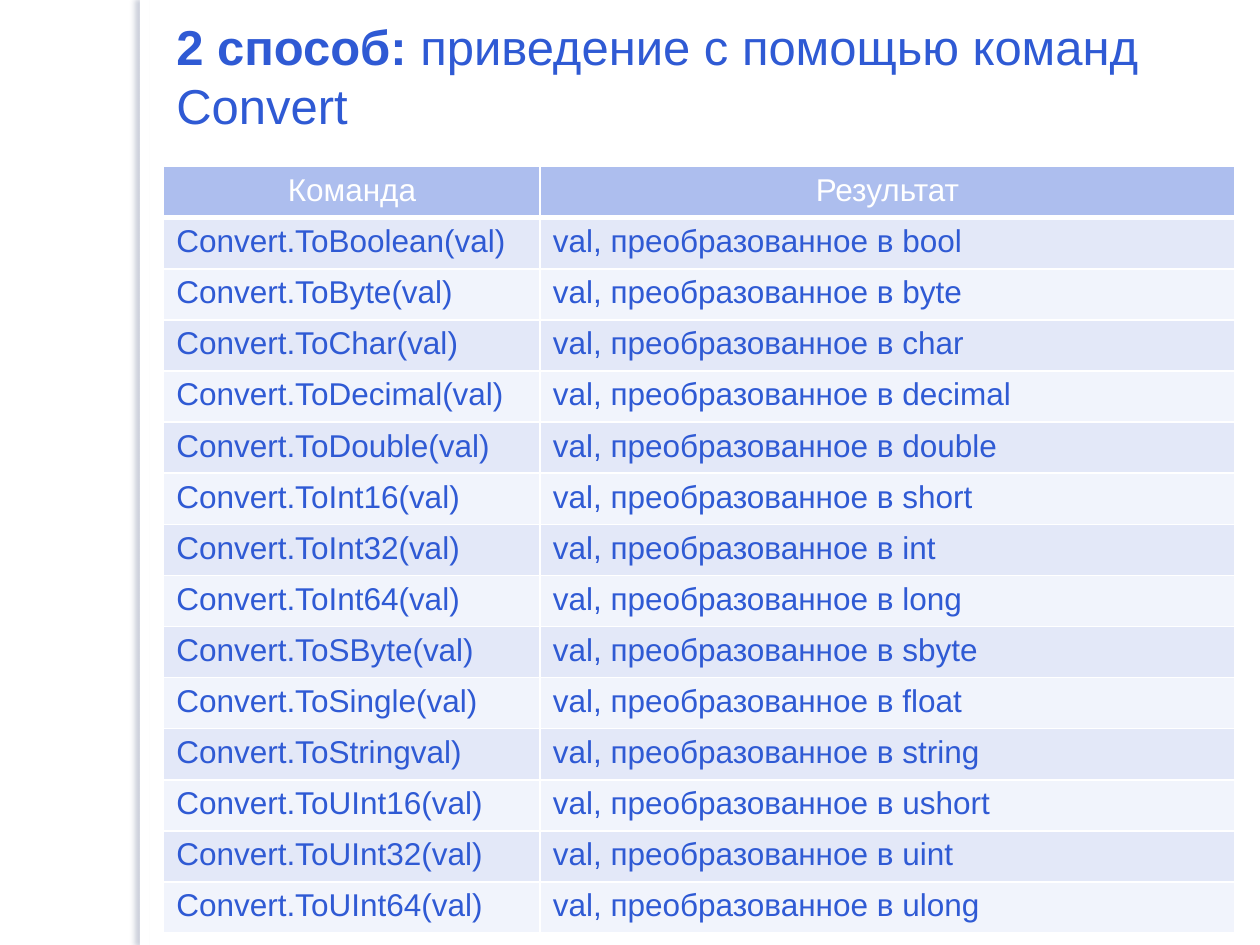
from dataclasses import dataclass

from lxml import etree
from pptx import Presentation
from pptx.dml.color import RGBColor
from pptx.enum.shapes import MSO_SHAPE
from pptx.enum.text import MSO_ANCHOR, MSO_AUTO_SIZE, PP_ALIGN
from pptx.oxml.ns import qn
from pptx.util import Cm, Pt

RECT = MSO_SHAPE.RECTANGLE
TOP = MSO_ANCHOR.TOP
FIXED = MSO_AUTO_SIZE.NONE
LEFT, CENTER = PP_ALIGN.LEFT, PP_ALIGN.CENTER

TITLE = [("2 способ: ", True), ("приведение с помощью команд Convert", False)]
HEAD = ("Команда", "Результат")
ROWS = [
    ("ToBoolean(val)", "bool"),
    ("ToByte(val)", "byte"),
    ("ToChar(val)", "char"),
    ("ToDecimal(val)", "decimal"),
    ("ToDouble(val)", "double"),
    ("ToInt16(val)", "short"),
    ("ToInt32(val)", "int"),
    ("ToInt64(val)", "long"),
    ("ToSByte(val)", "sbyte"),
    ("ToSingle(val)", "float"),
    ("ToStringval)", "string"),
    ("ToUInt16(val)", "ushort"),
    ("ToUInt32(val)", "uint"),
    ("ToUInt64(val)", "ulong"),
]
COLS = (7.59, 14.0)
ROW = 1.03
EDGE = 3.3


@dataclass
class Theme:
    font: str = "Arial"
    ink: str = "2F5AD4"
    white: str = "FFFFFF"
    head: str = "ADBEEE"
    bands: tuple = ("E3E8F8", "F1F4FC")
    shade: str = "384873"
    title: int = 28
    body: int = 18
    thin: int = 1
    thick: int = 3


THEME = Theme()


def paint(fill, color):
    fill.solid()
    fill.fore_color.rgb = RGBColor.from_string(color)


def add_run(para, text, size, color, bold=False):
    run = para.add_run()
    run.text = text
    run.font.name = THEME.font
    run.font.size = Pt(size)
    run.font.bold = bold
    run.font.color.rgb = RGBColor.from_string(color)


def add_node(root, tag, **attrs):
    return etree.SubElement(root, qn(tag), {k: str(v) for k, v in attrs.items()})


def add_strip(slide):
    strip = slide.shapes.add_shape(RECT, Cm(2.82), 0, Cm(0.2), Cm(19.05))
    paint(strip.fill, THEME.white)
    strip.line.fill.background()
    strip.shadow.inherit = False
    glow = add_node(strip._element.spPr.find(qn("a:effectLst")), "a:outerShdw",
                    blurRad=Pt(3), dist=Pt(3), dir=180 * 60000,
                    algn="ctr", rotWithShape=0)
    tone = add_node(glow, "a:srgbClr", val=THEME.shade)
    add_node(tone, "a:alpha", val=25000)
    slide.shapes._spTree.insert(2, strip._element)


def add_title(slide):
    title = slide.shapes.title
    title.left, title.top = Cm(EDGE), Cm(0.2)
    title.width, title.height = Cm(20.4), Cm(13.92)
    frame = title.text_frame
    frame.word_wrap = True
    frame.auto_size = FIXED
    frame.vertical_anchor = TOP
    para = frame.paragraphs[0]
    para.alignment = LEFT
    for text, bold in TITLE:
        add_run(para, text, THEME.title, THEME.ink, bold)


def add_edges(cell, top, base):
    props = cell._tc.get_or_add_tcPr()
    widths = {"a:lnL": THEME.thin, "a:lnR": THEME.thin, "a:lnT": top, "a:lnB": base}
    for tag, width in widths.items():
        line = add_node(props, tag, w=Pt(width))
        add_node(add_node(line, "a:solidFill"), "a:srgbClr", val=THEME.white)


def add_grid(slide):
    cells = [HEAD] + [(f"Convert.{call}", f"val, преобразованное в {kind}")
                      for call, kind in ROWS]
    table = slide.shapes.add_table(
        len(cells), len(COLS), Cm(EDGE), Cm(3.36),
        Cm(sum(COLS)), Cm(ROW * len(cells))).table
    table.first_row = table.horz_banding = False
    for col, width in zip(table.columns, COLS):
        col.width = Cm(width)
    for i, texts in enumerate(cells):
        table.rows[i].height = Cm(ROW)
        top = THEME.thick if i == 1 else THEME.thin
        base = THEME.thick if i == 0 else THEME.thin
        fill = THEME.bands[(i - 1) % 2] if i else THEME.head
        for j, text in enumerate(texts):
            cell = table.cell(i, j)
            add_edges(cell, top, base)
            paint(cell.fill, fill)
            para = cell.text_frame.paragraphs[0]
            para.alignment = LEFT if i else CENTER
            add_run(para, text, THEME.body, THEME.ink if i else THEME.white)


def main():
    deck = Presentation()
    deck.slide_width, deck.slide_height = Cm(25.4), Cm(19.05)
    slide = deck.slides.add_slide(deck.slide_layouts[5])
    paint(slide.background.fill, THEME.white)
    add_strip(slide)
    add_title(slide)
    add_grid(slide)
    deck.save("out.pptx")


if __name__ == "__main__":
    main()
